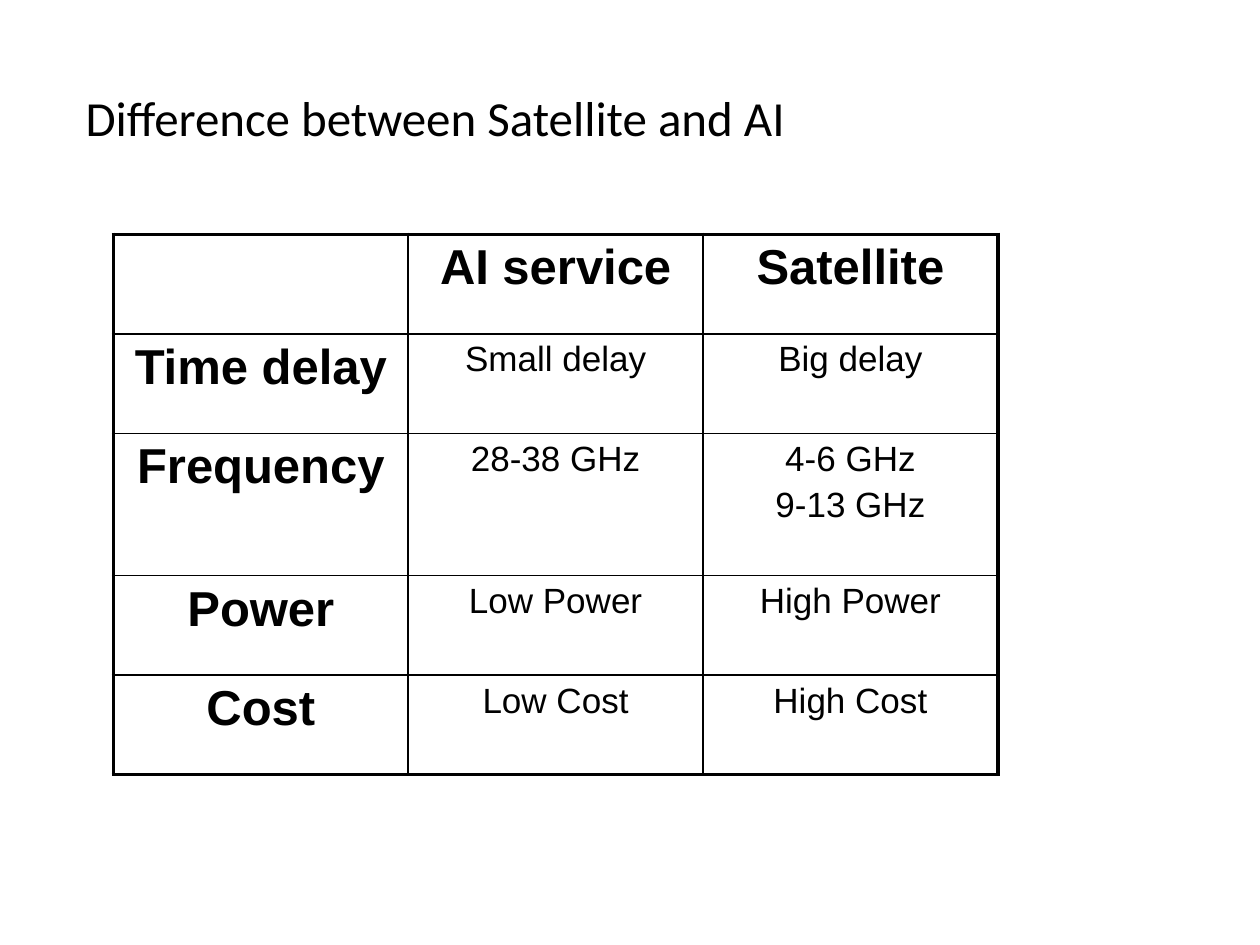
from lxml.etree import SubElement
from pptx import Presentation
from pptx.dml.color import RGBColor
from pptx.enum.text import MSO_ANCHOR, MSO_AUTO_SIZE, PP_ALIGN
from pptx.oxml import parse_xml
from pptx.oxml.ns import nsdecls, qn
from pptx.util import Inches, Pt

HUES = {"ink": "000000"}
THIN, BOLD = 1, 2.25
HEAD = {"size": Pt(28), "bold": True, "name": "Arial"}
BODY = {"size": Pt(20), "bold": False, "name": "Arial"}
TITLE = {"size": Pt(28), "bold": False, "name": "Calibri"}
ROWS = [
    ["", "AI service", "Satellite"],
    ["Time delay", "Small delay", "Big delay"],
    ["Frequency", "28-38 GHz", "4-6 GHz\n9-13 GHz"],
    ["Power", "Low Power", "High Power"],
    ["Cost", "Low Cost", "High Cost"],
]
HEIGHTS = [0.79, 0.79, 1.13, 0.79, 0.79]


def style(font, form):
    for key, value in form.items():
        setattr(font, key, value)
    font.color.rgb = RGBColor.from_string(HUES["ink"])


def add_title(slide, box):
    title = slide.shapes.title
    title.left, title.top, title.width, title.height = map(Inches, box)
    frame = title.text_frame
    frame.text = "Difference between Satellite and AI"
    frame.auto_size = MSO_AUTO_SIZE.NONE
    frame.vertical_anchor = MSO_ANCHOR.MIDDLE
    line = frame.paragraphs[0]
    line.alignment = PP_ALIGN.LEFT
    line.line_spacing = 0.9
    style(line.runs[0].font, TITLE)


def edge(cell, sides):
    """Draw cell borders; sides maps L, R, T, B to widths in points."""
    props = cell._tc.get_or_add_tcPr()
    for spot, (side, width) in enumerate(sides.items()):
        props.insert(spot, parse_xml(
            f'<a:ln{side} {nsdecls("a")} w="{Pt(width)}"><a:solidFill>'
            f'<a:srgbClr val="{HUES["ink"]}"/></a:solidFill></a:ln{side}>'))


def fill_cell(cell, text, form):
    cell.fill.background()
    cell.text = text
    for line in cell.text_frame.paragraphs:
        line.alignment = PP_ALIGN.CENTER
        gap = SubElement(line._p.get_or_add_pPr(), qn("a:spcBef"))
        SubElement(gap, qn("a:spcPct")).set("val", "20000")
        for run in line.runs:
            style(run.font, form)


def add_grid(slide, box):
    left, top, width = box
    rows, cols = len(ROWS), len(ROWS[0])
    table = slide.shapes.add_table(
        rows, cols, *map(Inches, (left, top, width, sum(HEIGHTS)))).table
    table.first_row = table.horz_banding = False
    for col in table.columns:
        col.width = Inches(width / cols)
    for r, (row, high) in enumerate(zip(ROWS, HEIGHTS)):
        table.rows[r].height = Inches(high)
        for c, text in enumerate(row):
            cell = table.cell(r, c)
            fill_cell(cell, text, HEAD if r == 0 or c == 0 else BODY)
            outer = {"L": c == 0, "R": c == cols - 1,
                     "T": r == 0, "B": r == rows - 1}
            edge(cell, {side: BOLD if out else THIN
                        for side, out in outer.items()})


def main():
    deck = Presentation()
    deck.slide_width, deck.slide_height = Inches(10), Inches(7.5)
    slide = deck.slides.add_slide(deck.slide_layouts.get_by_name("Title Only"))
    add_title(slide, (0.58, 0.58, 8.33, 0.75))
    add_grid(slide, (0.9, 1.86, 7.02))
    deck.save("out.pptx")


if __name__ == "__main__":
    main()
